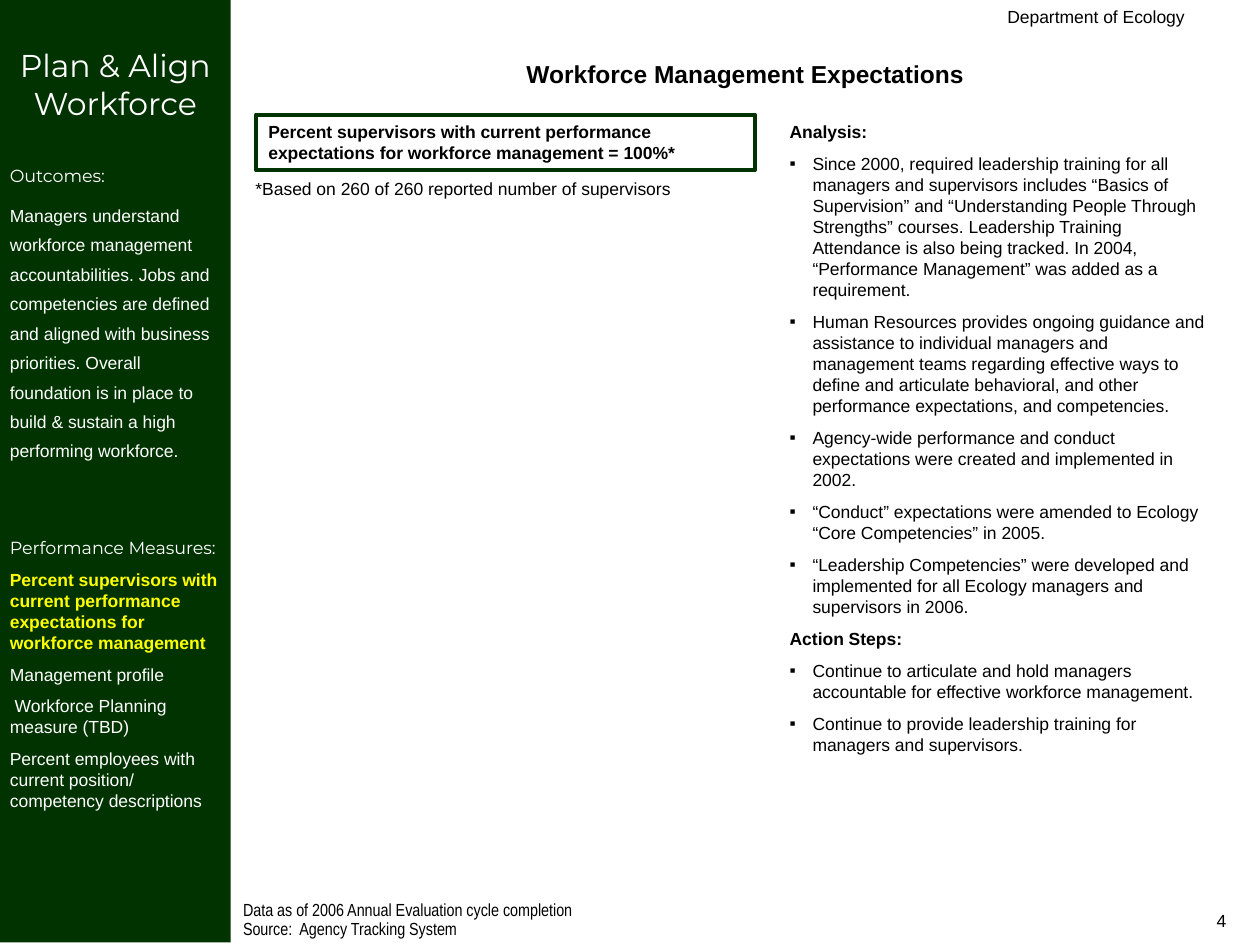
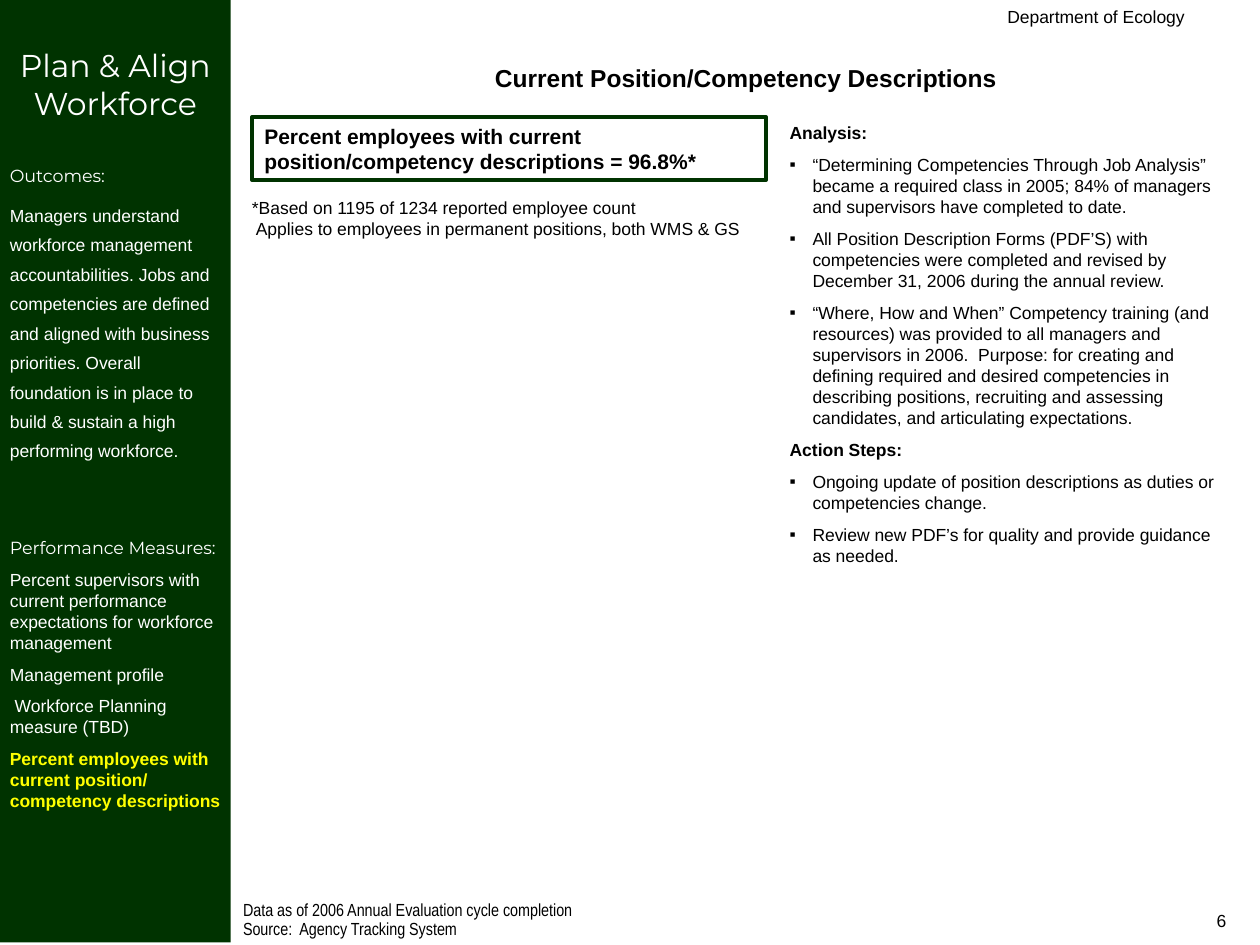
from dataclasses import dataclass

from lxml import etree
from pptx import Presentation
from pptx import util as u
from pptx.dml.color import RGBColor
from pptx.enum import shapes, text
from pptx.oxml.ns import qn


@dataclass(frozen=True)
class Theme:
    """Colours, fonts and type sizes shared by all slides."""
    green: str = "003300"
    white: str = "FFFFFF"
    black: str = "000000"
    yellow: str = "FFFF00"
    sans: str = "Arial"
    slim: str = "Arial Narrow"
    brand: str = "Montserrat"
    body: float = 10
    lead: float = 12
    head: float = 14
    side: float = 18
    gap: float = 6.2


T = Theme()
LEFT, MID, RIGHT = text.PP_ALIGN.LEFT, text.PP_ALIGN.CENTER, text.PP_ALIGN.RIGHT
BAR = 4.65

GOALS = ("Managers understand workforce management accountabilities. Jobs and "
         "competencies are defined and aligned with business priorities. Overall "
         "foundation is in place to build & sustain a high performing workforce.")
TASKS = (
    "Percent supervisors with current performance expectations for workforce management",
    "Management profile",
    " Workforce Planning measure (TBD)",
    "Percent employees with current position/ competency descriptions",
)
NOTES = ("Data as of 2006 Annual Evaluation cycle completion",
         "Source:  Agency Tracking System")

PAGES = (
    dict(
        num="4", task=0,
        title="Workforce Management Expectations", top=(BAR, 1.07, 20.75, 0.86),
        claim="Percent supervisors with current performance expectations for "
              "workforce management = 100%*",
        size=T.body, frame=(5.16, 2.31, 10.06, 1.12),
        basis="*Based on 260 of 260 reported number of supervisors",
        base=(4.9, 3.45, 10.06, 0.69),
        panel=(15.67, 2.31, 9.04, 13.69),
        points={
            "Analysis:": (
                "Since 2000, required leadership training for all managers and "
                "supervisors includes “Basics of Supervision” and “Understanding "
                "People Through Strengths” courses. Leadership Training Attendance "
                "is also being tracked. In 2004, “Performance Management” was added "
                "as a requirement.",
                "Human Resources provides ongoing guidance and assistance to "
                "individual managers and management teams regarding effective ways "
                "to define and articulate behavioral, and other performance "
                "expectations, and competencies.",
                "Agency-wide performance and conduct expectations were created and "
                "implemented in 2002.",
                "“Conduct” expectations were amended to Ecology “Core Competencies” "
                "in 2005.",
                "“Leadership Competencies” were developed and implemented for all "
                "Ecology managers and supervisors in 2006.",
            ),
            "Action Steps:": (
                "Continue to articulate and hold managers accountable for effective "
                "workforce management.",
                "Continue to provide leadership training for managers and supervisors.",
            ),
        },
    ),
    dict(
        num="6", task=3,
        title="Current Position/Competency Descriptions", top=(4.88, 1.14, 20.32, 0.86),
        claim="Percent employees with current position/competency descriptions = 96.8%*",
        size=T.lead, frame=(5.08, 2.36, 10.36, 1.27),
        basis="*Based on 1195 of 1234 reported employee count\v"
              " Applies to employees in permanent positions, both WMS & GS",
        base=(4.83, 3.84, 10.54, 1.12),
        panel=(15.67, 2.34, 9.09, 9.86),
        points={
            "Analysis:": (
                "“Determining Competencies Through Job Analysis” became a required "
                "class in 2005; 84% of managers and supervisors have completed to date.",
                "All Position Description Forms (PDF’S) with competencies were "
                "completed and revised by December 31, 2006 during the annual review.",
                "“Where, How and When” Competency training (and resources) was "
                "provided to all managers and supervisors in 2006.  Purpose: for "
                "creating and defining required and desired competencies in "
                "describing positions, recruiting and assessing candidates, and "
                "articulating expectations.",
            ),
            "Action Steps:": (
                "Ongoing update of position descriptions as duties or competencies change.",
                "Review new PDF’s for quality and provide guidance as needed.",
            ),
        },
    ),
)


def tint(code):
    """Turn a hex code into a colour."""
    return RGBColor.from_string(code)


def setup(frame, pad=(0.25, 0.13)):
    """Give a text frame its wrap, anchor and side and top insets."""
    frame.word_wrap = True
    frame.vertical_anchor = text.MSO_ANCHOR.TOP
    frame.margin_left = frame.margin_right = u.Cm(pad[0])
    frame.margin_top = u.Cm(pad[1])
    frame.margin_bottom = u.Cm(0.1)
    return frame


def area(slide, box):
    """Add a text box and return its frame."""
    return setup(slide.shapes.add_textbox(*map(u.Cm, box)).text_frame)


def block(slide, box):
    """Add a plain rectangle without shadow."""
    shape = slide.shapes.add_shape(shapes.MSO_SHAPE.RECTANGLE, *map(u.Cm, box))
    shape.shadow.inherit = False
    return shape


def hang(para, mark):
    """Give a paragraph a hanging indent and, if asked, a square bullet."""
    props = para._p.get_or_add_pPr()
    props.set("marL", str(u.Cm(0.46)))
    props.set("indent", str(-u.Cm(0.46)))
    if mark:
        hue = etree.SubElement(props, qn("a:buClr"))
        etree.SubElement(hue, qn("a:srgbClr"), val=T.black)
        etree.SubElement(props, qn("a:buFont"), typeface=T.sans)
        etree.SubElement(props, qn("a:buChar"), char="▪")


def write(frame, words, size=T.body, face=T.sans, hue=T.black, bold=False,
          align=LEFT, gap=T.gap, lines=None, dent=False, mark=False):
    """Add one styled paragraph; the first in a frame has no space before."""
    para = frame.paragraphs[0]
    if para.text:
        para = frame.add_paragraph()
        para.space_before = u.Pt(gap)
    para.text = words
    para.alignment = align
    if lines:
        para.line_spacing = lines
    if dent:
        hang(para, mark)
    font = para.font
    font.size, font.name, font.bold = u.Pt(size), face, bold
    font.color.rgb = tint(hue)


def sidebar(slide, box, task):
    """Draw the green band with outcomes and the current measure in yellow."""
    band = block(slide, box)
    band.fill.solid()
    band.fill.fore_color.rgb = tint(T.green)
    band.line.fill.background()
    frame = setup(band.text_frame, (0.2, 0.93))
    label = dict(face=T.brand, hue=T.white)
    write(frame, "Plan & Align Workforce", T.side, align=MID, **label)
    write(frame, "Outcomes:", gap=24.6, **label)
    write(frame, GOALS, hue=T.white, lines=1.4)
    write(frame, "Performance Measures:", gap=43, **label)
    for i, words in enumerate(TASKS):
        live = i == task
        write(frame, words, hue=T.yellow if live else T.white, bold=live)


def claim(slide, box, words, size):
    """Draw the outlined box with the key result."""
    shape = block(slide, box)
    shape.fill.background()
    shape.line.color.rgb = tint(T.green)
    shape.line.width = u.Pt(2.25)
    write(setup(shape.text_frame), words, size, bold=True)


def panel(slide, box, points):
    """List bulleted points under their bold headings."""
    frame = area(slide, box)
    for head, items in points.items():
        write(frame, head, bold=True, dent=True)
        for item in items:
            write(frame, item, dent=True, mark=True)


def edges(slide, num):
    """Place the agency name, data source and page number."""
    write(area(slide, (11.43, 0, 12.7, 0.64)), "Department of Ecology", align=RIGHT)
    write(area(slide, (19.05, 18.21, 5.92, 0.84)), num, align=RIGHT)
    frame = area(slide, (BAR, 18.11, 12.27, 0.94))
    for note in NOTES:
        write(frame, note, face=T.slim, gap=2.5, lines=0.7)


def build(deck, page):
    """Build one measure slide."""
    slide = deck.slides.add_slide(deck.slide_layouts[6])
    edges(slide, page["num"])
    panel(slide, page["panel"], page["points"])
    sidebar(slide, (0, 0, BAR, 19), page["task"])
    claim(slide, page["frame"], page["claim"], page["size"])
    write(area(slide, page["base"]), page["basis"])
    write(area(slide, page["top"]), page["title"], T.head, bold=True, align=MID)


def main():
    """Build and save the deck."""
    deck = Presentation()
    deck.slide_width, deck.slide_height = u.Cm(25.4), u.Cm(19.05)
    for page in PAGES:
        build(deck, page)
    deck.save("out.pptx")


if __name__ == "__main__":
    main()
